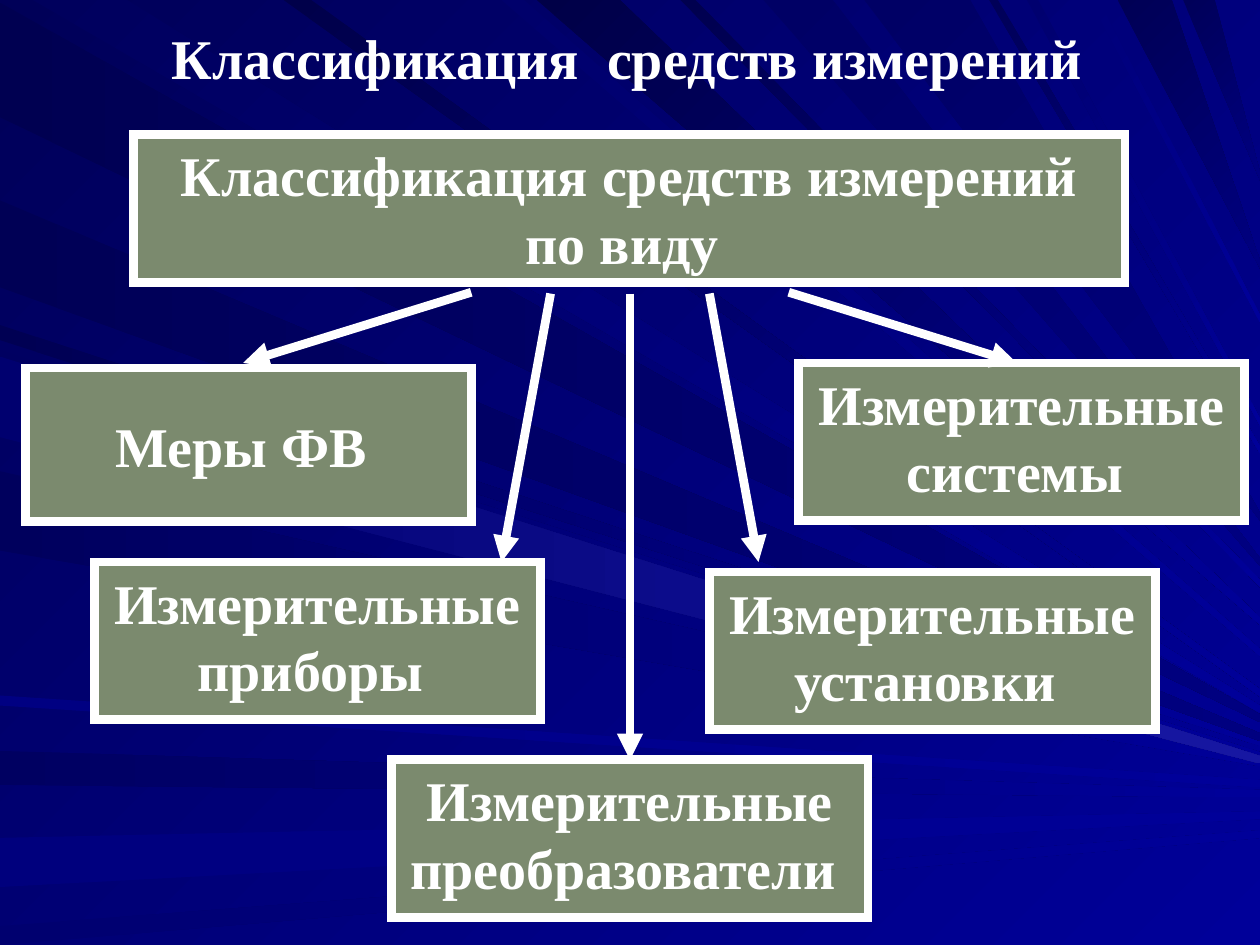
import pptx
import pptx.util
import pptx.dml.color
import pptx.enum.shapes
import pptx.enum.text
import pptx.oxml
import pptx.oxml.ns

THEME = {
    "back": ("000058", "000099"), "box": "7B8A6E", "ink": "FFFFFF",
    "font": "Times New Roman", "size": 32, "line": 5, "gap": 20,
}

TITLE = ("Классификация  средств измерений ", 0.27, 0.13, 9.53, 0.64)
WIDE, TALL = 3.54, 1.25
BOXES = [
    ("Классификация средств измерений по виду ", 1.06, 1.07, 7.87, 1.17, "TOP"),
    ("Меры ФВ ", 0.2, 2.92, WIDE, 1.22, "MIDDLE"),
    ("Измерительные системы ", 6.34, 2.88, WIDE, TALL, "TOP"),
    ("Измерительные приборы ", 0.75, 4.46, WIDE, TALL, "TOP"),
    ("Измерительные установки ", 5.63, 4.54, WIDE, TALL, "TOP"),
    ("Измерительные преобразователи ", 3.11, 6.03, 3.78, TALL, "TOP"),
]
MID = 5
FAN = [(1.26, 2.32, 3.07, 2.88), (0.63, 2.33, 1.02, 4.46)]
STEM = (MID, 2.33, MID, 6.03)

EDGE, HALF = 10, 0.03
RAYS = [
    ("left", "000051", "000080", 0.02, 0.93, 5.7),
    ("top", "00005D", "000099", 0.26, 1.01, 5.63),
    ("left", "000061", "000099", 5.96, 6.23, 6.3),
    ("left", "00007D", "000099", 6.65, 7.04, 6.47),
    ("left", "00006F", "000099", 7.35, 7.5, 6.62),
    ("left", "000053", "000099", 2.58, 2.7, 5.89),
    ("left", "000055", "000080", 1.59, 2.28, 5.85),
    ("top", "00006B", "000099", 3.98, 4.16, 5.18),
    ("top", "000047", "000099", 4.26, 4.92, 4.93),
    ("top", "00004F", "000099", 5.4, 5.52, 4.63),
    ("top", "000065", "000080", 6.06, 6.61, 4.46),
    ("top", "000055", "000080", 8.87, 9.3, 2.1),
    ("top", "000059", "000080", 9.39, 9.64, 1.4),
    ("left", "000061", "000099", 2.78, 3.42, 6),
    ("left", "00005D", "000099", 3.74, 4.37, 6.05),
    ("left", "000082", "000099", 5.52, 5.6, 6.22),
    ("top", "00004A", "000099", 2.25, 2.47, 5.5),
    ("top", "000065", "000080", 6.86, 7.7, 4.1),
    ("top", "000058", "000099", 7.85, 7.92, 3.57),
    ("top", "00006F", "000099", 8.15, 8.24, 3.35),
    ("top", "000079", "000099", 8.65, 8.72, 2.53),
    ("left", "00006F", "1717A2", 2.83, 3.47, 6.03),
]


def cm(inch):
    return pptx.util.Cm(inch * 2.54)


def rgb(code):
    return pptx.dml.color.RGBColor.from_string(code)


def paint(fill, first, last, turn=0):
    if first == last:
        fill.solid()
        fill.fore_color.rgb = rgb(first)
        return
    fill.gradient()
    fill.gradient_angle = -turn % 360
    for stop, code in zip(fill.gradient_stops, (first, last)):
        stop.color.rgb = rgb(code)


def ray(slide, side, first, last, start, end, tip):
    if side == "top":
        base, turn = [(end, 0), (start, 0)], 45
    else:
        base, turn = [(0, start), (0, end)], 0
    ring = base + [(EDGE, tip + HALF), (EDGE, tip - HALF)]
    spots = [(cm(x), cm(y)) for x, y in ring]
    pen = slide.shapes.build_freeform(*spots[0], scale=1.0)
    pen.add_line_segments(spots[1:], close=True)
    shape = pen.convert_to_shape()
    shape.shadow.inherit = False
    paint(shape.fill, first, last, turn)
    shape.line.fill.background()


def write(shape, text, anchor, gap=0):
    frame = shape.text_frame
    frame.word_wrap = True
    frame.vertical_anchor = getattr(pptx.enum.text.MSO_ANCHOR, anchor)
    frame.text = text
    para = frame.paragraphs[0]
    para.alignment = pptx.enum.text.PP_ALIGN.CENTER
    para.space_before = pptx.util.Pt(gap)
    font = para.runs[0].font
    font.name, font.bold = THEME["font"], True
    font.size = pptx.util.Pt(THEME["size"])
    font.color.rgb = rgb(THEME["ink"])


def add(root, tag, **attrs):
    node = pptx.oxml.parse_xml(f"<a:{tag} {pptx.oxml.ns.nsdecls('a')}/>")
    for key, value in attrs.items():
        node.set(key, value)
    root.append(node)


def stroke(shape, tag, **attrs):
    shape.line.color.rgb = rgb(THEME["ink"])
    shape.line.width = pptx.util.Pt(THEME["line"])
    add(shape.line._get_or_add_ln(), tag, **attrs)


def box(slide, text, x, y, w, h, anchor):
    kind = pptx.enum.shapes.MSO_SHAPE.RECTANGLE
    shape = slide.shapes.add_shape(kind, cm(x), cm(y), cm(w), cm(h))
    shape.shadow.inherit = False
    paint(shape.fill, THEME["box"], THEME["box"])
    stroke(shape, "miter", lim="800000")
    write(shape, text, anchor, THEME["gap"])


def arrow(slide, *ends):
    kind = pptx.enum.shapes.MSO_CONNECTOR.STRAIGHT
    link = slide.shapes.add_connector(kind, *map(cm, ends))
    stroke(link, "tailEnd", type="triangle")
    add(link._element.spPr, "effectLst")


def main():
    deck = pptx.Presentation()
    deck.slide_width, deck.slide_height = cm(10), cm(7.5)
    slide = deck.slides.add_slide(deck.slide_layouts[6])
    paint(slide.background.fill, *THEME["back"], 45)
    for item in RAYS:
        ray(slide, *item)
    text, *place = TITLE
    write(slide.shapes.add_textbox(*map(cm, place)), text, "MIDDLE")
    for item in BOXES:
        box(slide, *item)
    for near, top, far, low in FAN:
        for sign in (-1, 1):
            arrow(slide, MID + sign * near, top, MID + sign * far, low)
    arrow(slide, *STEM)
    deck.save("out.pptx")


if __name__ == "__main__":
    main()
